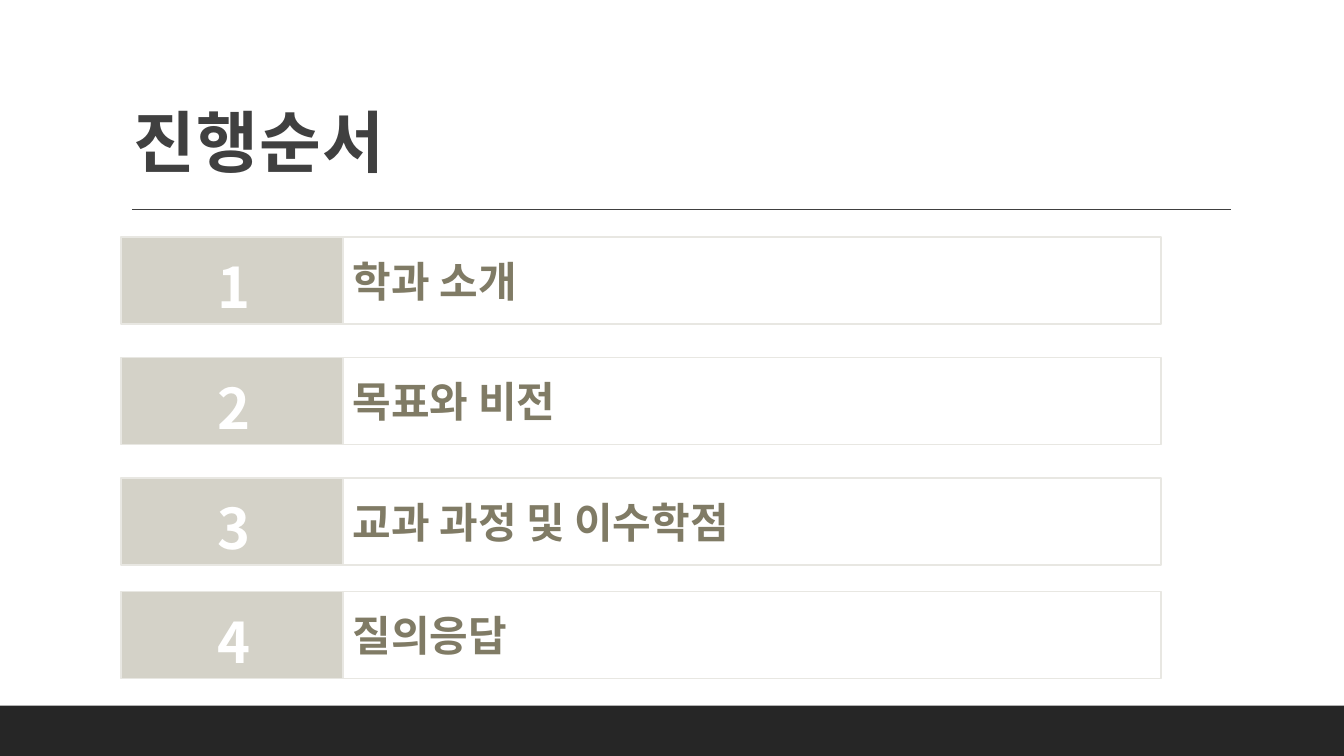
from dataclasses import dataclass

from lxml import etree
from pptx import Presentation
from pptx import util as u
from pptx.dml.color import RGBColor
from pptx.enum import shapes, text
from pptx.oxml import ns

FONT = "Noto Sans CJK KR"
INK = RGBColor(0x40, 0x40, 0x40)
FOOTER = RGBColor(0x26, 0x26, 0x26)
WHITE = RGBColor(0xFF, 0xFF, 0xFF)
STONE = RGBColor(0xD4, 0xD2, 0xC8)
BORDER = RGBColor(0xE8, 0xE7, 0xE2)
OLIVE = RGBColor(0x80, 0x7B, 0x65)

LEFT = 86.4
NUMBER_WIDTH = 158.4
TOPIC_WIDTH = 584.6
ROW_HEIGHT = 62.2


@dataclass(frozen=True)
class AgendaItem:
    number: int
    topic: str
    top: float


AGENDA = [
    AgendaItem(1, "학과 소개", 169.2),
    AgendaItem(2, "목표와 비전", 255.4),
    AgendaItem(3, "교과 과정 및 이수학점", 341.3),
    AgendaItem(4, "질의응답", 422.6),
]


def add_rectangle(page, left: float, top: float, width: float, height: float,
                  fill: RGBColor, border: RGBColor | None = None):
    box = page.shapes.add_shape(shapes.MSO_SHAPE.RECTANGLE, u.Pt(left), u.Pt(top),
                                u.Pt(width), u.Pt(height))
    box.shadow.inherit = False
    box.fill.solid()
    box.fill.fore_color.rgb = fill
    if border is None:
        box.line.fill.background()
    else:
        box.line.color.rgb = border
        box.line.width = u.Pt(1.25)
    return box


def write(box, words: str, size: float, color: RGBColor):
    para = box.text_frame.paragraphs[0]
    para.alignment = text.PP_ALIGN.LEFT
    span = para.add_run()
    span.text = words
    span.font.size = u.Pt(size)
    span.font.bold = True
    span.font.color.rgb = color
    span.font.name = FONT
    properties = span.font._element
    etree.SubElement(properties, ns.qn("a:ea")).set("typeface", FONT)
    return para, properties


def add_title(page, words: str) -> None:
    box = page.shapes.add_textbox(u.Pt(LEFT), u.Pt(22.3), u.Pt(792), u.Pt(114.5))
    frame = box.text_frame
    frame.word_wrap = True
    frame.vertical_anchor = text.MSO_ANCHOR.BOTTOM
    frame.margin_left = frame.margin_right = frame.margin_top = u.Pt(8.64)
    frame.margin_bottom = u.Pt(7.2)
    para, properties = write(box, words, 48, INK)
    para.line_spacing = 1.05
    properties.set("spc", "100")


def add_rule(page) -> None:
    rule = page.shapes.add_connector(shapes.MSO_CONNECTOR.STRAIGHT, u.Pt(94.3), u.Pt(149.5),
                                     u.Pt(879.1), u.Pt(149.5))
    rule.line.color.rgb = INK
    rule.line.width = u.Pt(1)
    etree.SubElement(rule._element.spPr, ns.qn("a:effectLst"))


def add_agenda_item(page, item: AgendaItem) -> None:
    add_rectangle(page, LEFT, item.top, NUMBER_WIDTH, ROW_HEIGHT, STONE, BORDER)
    topic = add_rectangle(page, LEFT + NUMBER_WIDTH, item.top, TOPIC_WIDTH, ROW_HEIGHT,
                          WHITE, BORDER)
    topic.text_frame.vertical_anchor = text.MSO_ANCHOR.MIDDLE
    write(topic, item.topic, 30, OLIVE)
    number = page.shapes.add_textbox(u.Pt(148.3), u.Pt(item.top + 7.9), u.Pt(38.2), u.Pt(55.4))
    number.text_frame.word_wrap = False
    number.text_frame.auto_size = text.MSO_AUTO_SIZE.SHAPE_TO_FIT_TEXT
    write(number, str(item.number), 40, WHITE)


def main() -> None:
    deck = Presentation()
    deck.slide_width, deck.slide_height = u.Pt(960), u.Pt(540)
    page = deck.slides.add_slide(deck.slide_layouts[6])
    add_rectangle(page, 0, 504, 960, 36, FOOTER)
    add_rule(page)
    add_title(page, "진행순서")
    for item in AGENDA:
        add_agenda_item(page, item)
    deck.save("out.pptx")


if __name__ == "__main__":
    main()
